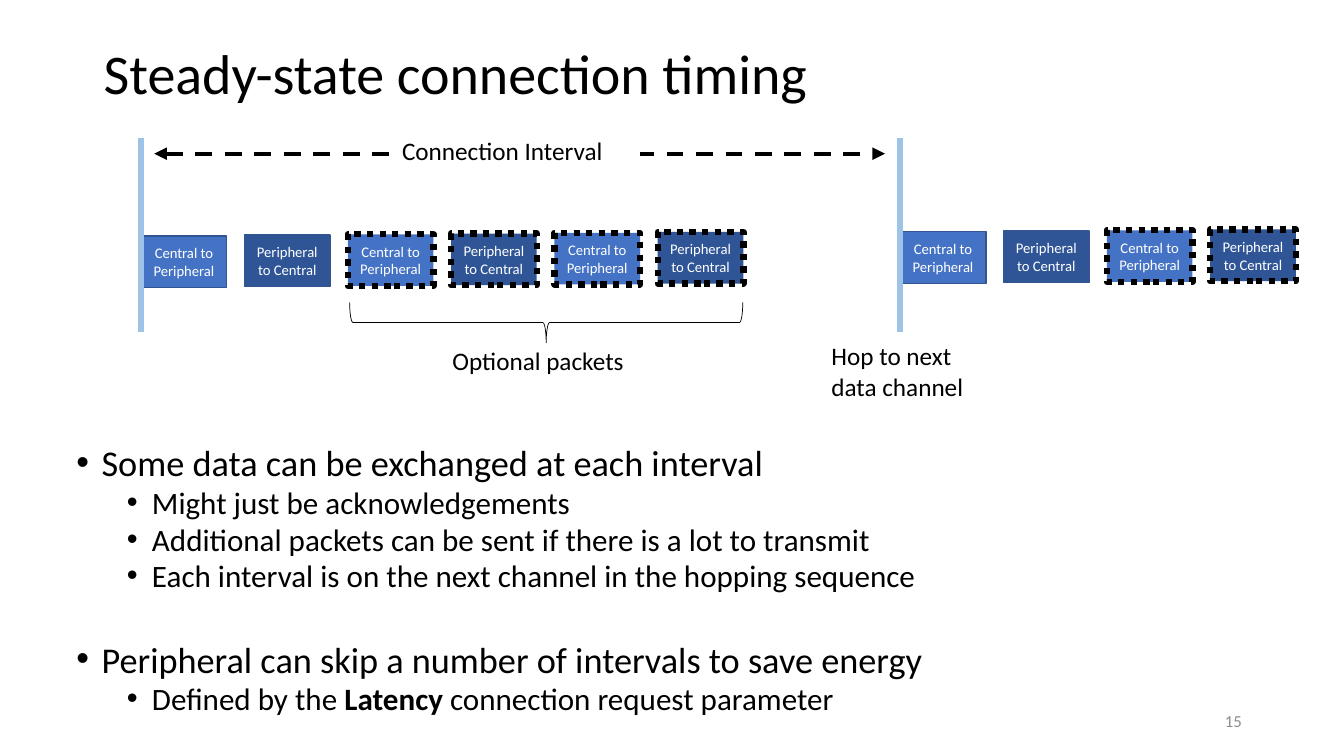
from pptx import Presentation
from pptx.dml.color import RGBColor
from pptx.enum.dml import MSO_LINE as Dash
from pptx.enum.shapes import MSO_CONNECTOR as Connector, MSO_SHAPE as Shape
from pptx.enum.text import MSO_ANCHOR as Anchor, PP_ALIGN as Align
from pptx.oxml.ns import qn
from pptx.util import Pt
from lxml.etree import SubElement

FONT = "Calibri"
BLACK, WHITE, GRAY = "000000", "FFFFFF", "8C8C8C"
CENTRAL, PERIPHERAL, OUTLINE, EVENT = "4472C4", "2F5597", "325491", "9DC3E6"

PACKETS = [("Central to Peripheral", CENTRAL), ("Peripheral to Central", PERIPHERAL)]
PACKET_WIDTH, PACKET_HEIGHT = 61.2, 36.9
PACKET_PITCH, PACKET_RISE = 73.8, 0.55
EVENT_TOP, EVENT_BOTTOM = 98.6, 236.9
# Left of each event, top of its first packet, number of packets
EVENTS = [(100.8, 168.5, 6), (643, 165.6, 4)]

# Level, space before, runs of text with their boldness
POINTS = [
    (0, 0, [("Some data can be exchanged at each interval", False)]),
    (1, 5, [("Might just be acknowledgements", False)]),
    (1, 5, [("Additional packets can be sent if there is a lot to transmit", False)]),
    (1, 5, [("Each interval is on the next channel in the hopping sequence", False)]),
    (0, 36.7, [("Peripheral can skip a number of intervals to save energy", False)]),
    (1, 5, [("Defined by the ", False), ("Latency", True),
            (" connection request parameter", False)]),
]
LEVEL_SIZES, LEVEL_INDENTS = [25.9, 22.2], [18, 54]


def color(value):
    return RGBColor.from_string(value)


def set_values(target, values):
    for name, value in values.items():
        setattr(target, name, value)


def set_font(font, size, text_color=BLACK, bold=False):
    set_values(font, {"name": FONT, "size": Pt(size), "bold": bold})
    font.color.rgb = color(text_color)


def set_line(line, line_color, width, dash=None):
    line.color.rgb = color(line_color)
    set_values(line, {"width": Pt(width), "dash_style": dash})


def write(shape, text, size, text_color=BLACK, anchor=Anchor.TOP, align=Align.LEFT):
    frame = shape.text_frame
    set_values(frame, {"word_wrap": True, "vertical_anchor": anchor})
    paragraph = frame.paragraphs[0]
    set_values(paragraph, {"text": text, "alignment": align})
    set_font(paragraph.runs[0].font, size, text_color)
    return paragraph


def add_text(slide, box, text, size, **options):
    return write(slide.shapes.add_textbox(*map(Pt, box)), text, size, **options)


def add_box(slide, kind, box, fill=None):
    shape = slide.shapes.add_shape(kind, *map(Pt, box))
    shape.shadow.inherit = False
    if fill:
        shape.fill.solid()
        shape.fill.fore_color.rgb = color(fill)
    else:
        shape.fill.background()
    return shape


def add_line(slide, ends, line_color, width, dash=None, arrows=False):
    connector = slide.shapes.add_connector(Connector.STRAIGHT, *map(Pt, ends))
    set_line(connector.line, line_color, width, dash)
    properties = connector._element.spPr
    if arrows:
        for end in ("a:headEnd", "a:tailEnd"):
            SubElement(properties.find(qn("a:ln")), qn(end), type="triangle")
    SubElement(properties, qn("a:effectLst"))


def add_packets(slide, left, top, count):
    for index in range(count):
        text, fill = PACKETS[index % 2]
        box = (left + index * PACKET_PITCH, top - index * PACKET_RISE,
               PACKET_WIDTH, PACKET_HEIGHT)
        packet = add_box(slide, Shape.RECTANGLE, box, fill)
        if index < 2:
            set_line(packet.line, OUTLINE, 1)
        else:  # optional packets
            set_line(packet.line, BLACK, 4.5, Dash.ROUND_DOT)
        write(packet, text, 10.5, WHITE, Anchor.MIDDLE, Align.CENTER)


def add_bullets(slide, box, points):
    frame = slide.shapes.add_textbox(*map(Pt, box)).text_frame
    frame.word_wrap = True
    for index, (level, space, runs) in enumerate(points):
        paragraph = frame.add_paragraph() if index else frame.paragraphs[0]
        properties = paragraph._p.get_or_add_pPr()
        properties.set("marL", str(Pt(LEVEL_INDENTS[level])))
        properties.set("indent", str(Pt(-18)))
        SubElement(properties, qn("a:buFont"), typeface="Arial")
        SubElement(properties, qn("a:buChar"), char="•")
        set_values(paragraph, {"level": level, "line_spacing": 0.8,
                               "space_before": Pt(space)})
        for text, bold in runs:
            run = paragraph.add_run()
            run.text = text
            set_font(run.font, LEVEL_SIZES[level], bold=bold)


def main():
    presentation = Presentation()
    set_values(presentation, {"slide_width": Pt(960), "slide_height": Pt(540)})
    slide = presentation.slides.add_slide(presentation.slide_layouts[6])

    # Title, bullets and slide number
    title = add_text(slide, (67, 2.2, 828, 104.4), "Steady-state connection timing", 40,
                     anchor=Anchor.MIDDLE)
    title.line_spacing = 0.9
    add_bullets(slide, (47.5, 316.8, 864, 215.3), POINTS)
    add_text(slide, (678.2, 500.4, 216, 28.8), "15", 12, text_color=GRAY,
             anchor=Anchor.MIDDLE, align=Align.RIGHT)

    # Packets, then the line that starts each connection event
    for event in EVENTS:
        add_packets(slide, *event)
    for left, _, _ in EVENTS:
        add_line(slide, (left, EVENT_TOP, left, EVENT_BOTTOM), EVENT, 4.5)

    # Connection interval
    add_line(slide, (110.2, 109.8, 632.2, 109.8), BLACK, 3, Dash.DASH, arrows=True)
    interval = add_box(slide, Shape.RECTANGLE, (280.1, 92.9, 177.1, 29), WHITE)
    interval.line.fill.background()
    write(interval, "Connection Interval", 18)

    # Hop and optional packets
    add_text(slide, (586.8, 239.8, 123.1, 51), "Hop to next data channel", 18)
    brace = add_box(slide, Shape.LEFT_BRACE, (375.8, 90, 28.8, 280.8))
    brace.rotation = 270
    set_line(brace.line, BLACK, 0.5)
    add_text(slide, (316.1, 243.4, 159.1, 29), "Optional packets", 18)

    presentation.save("out.pptx")


if __name__ == "__main__":
    main()
